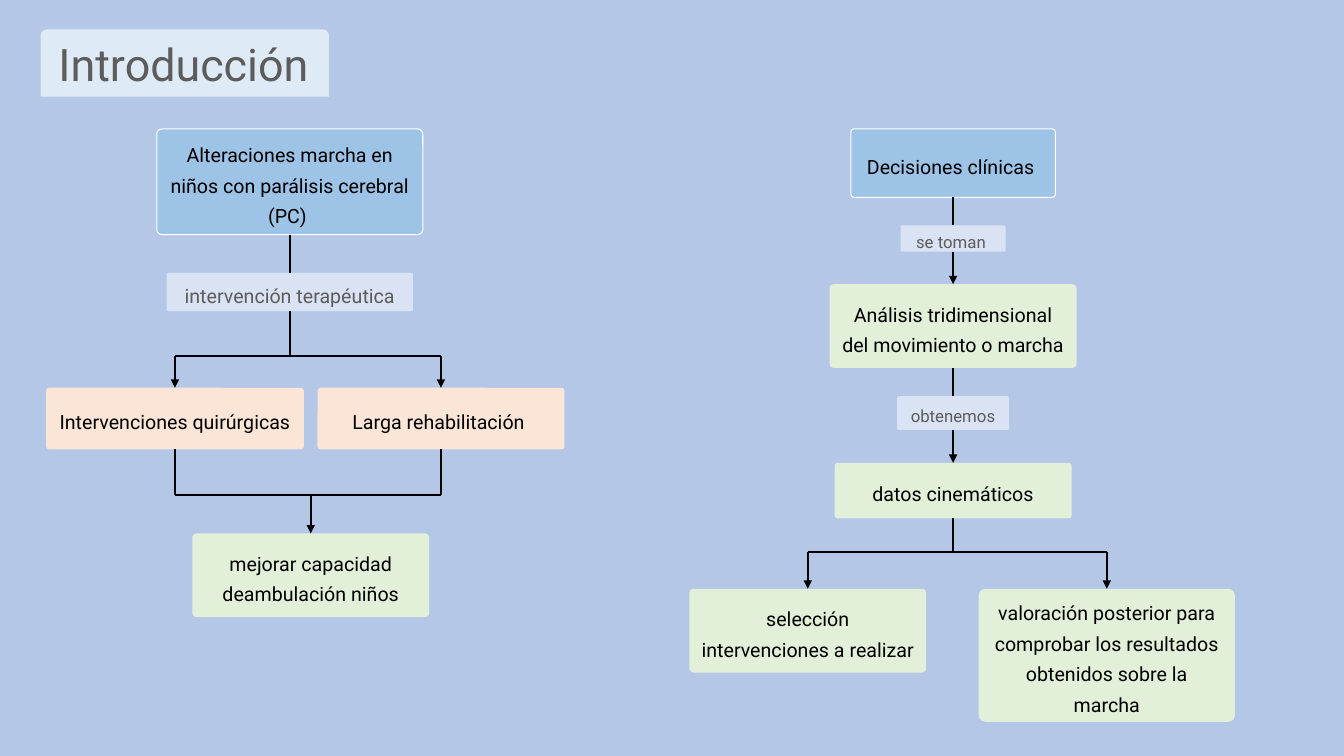
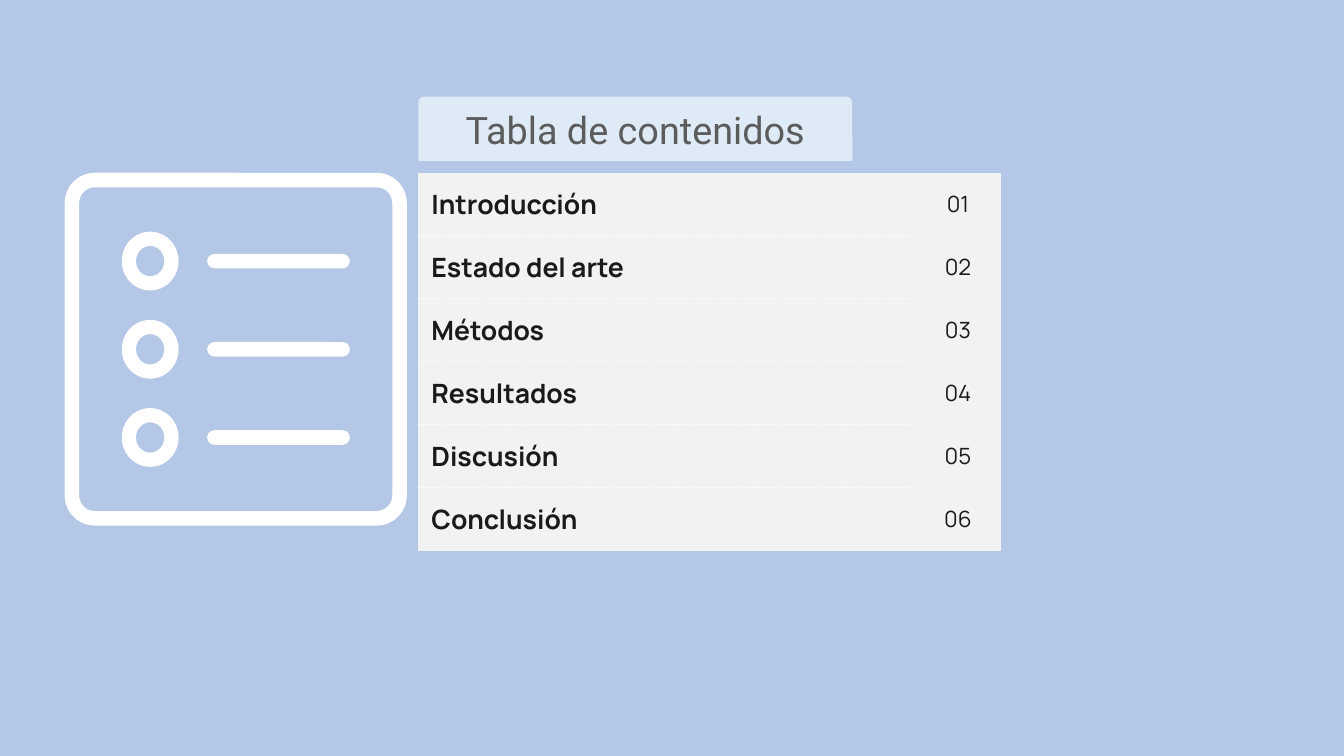
from lxml import etree
from pptx import Presentation
from pptx import util as u
from pptx.dml.color import RGBColor
from pptx.enum import shapes as kinds, text
from pptx.oxml.ns import qn

Pt = u.Pt
FORM = kinds.MSO_AUTO_SHAPE_TYPE
CENTER, LEFT = text.PP_ALIGN.CENTER, text.PP_ALIGN.LEFT
BACKGROUND, BAND, WHITE, BLACK, GREY = "B4C7E7", "DEEBF7", "FFFFFF", "000000", "5C5C5C"
TABLE_FILL, TABLE_TEXT = "F2F2F2", "1A1A1A"
NO_TABLE_STYLE = "{2D5ABB26-0587-4C30-8999-92F81FD0307C}"

# Box role: fill, outline, text colour, text size
ROLES = {
    "topic": ("9DC3E6", WHITE, BLACK, 14),
    "treatment": ("FBE5D6", None, BLACK, 14),
    "result": ("E2F0D9", None, BLACK, 14),
    "link": ("DAE3F3", None, GREY, 14),
    "small link": ("DAE3F3", None, GREY, 12),
}

# Box: text, role, centre x, top, width, height
BOXES = {
    "gait": ("Alteraciones marcha en niños con parálisis cerebral (PC) ", "topic", 207, 92, 190, 75.6),
    "therapy": ("intervención terapéutica", "link", 207, 195, 176, 27.2),
    "surgery": ("Intervenciones quirúrgicas", "treatment", 125, 277, 184, 44),
    "rehab": ("Larga rehabilitación ", "treatment", 315, 277, 176.4, 44),
    "walking": ("mejorar capacidad deambulación niños", "result", 222, 381, 169.2, 59.8),
    "decisions": ("Decisiones clínicas ", "topic", 680.8, 92, 146, 49),
    "taken": ("se toman ", "small link", 680.8, 161, 75, 18.8),
    "analysis": ("Análisis tridimensional del movimiento o marcha", "result", 680.8, 203, 176.4, 59.8),
    "obtain": ("obtenemos", "small link", 680.8, 283, 80, 24),
    "data": ("datos cinemáticos", "result", 680.8, 330.6, 169.2, 39.6),
    "selection": ("selección intervenciones a realizar", "result", 577, 420.6, 169.2, 59.8),
    "review": ("valoración posterior para comprobar los resultados obtenidos sobre la marcha",
               "result", 790.6, 420.6, 183, 95),
}

# Heights of the horizontal branches
SPLIT, MERGE, FORK = 254, 353.8, 394
BRANCHES = [("surgery", "rehab", SPLIT), ("surgery", "rehab", MERGE), ("selection", "review", FORK)]

# Vertical links: a box or a branch height at each end, and whether it has an arrowhead
LINKS = [
    ("gait", "therapy", False), ("therapy", SPLIT, False),
    (SPLIT, "surgery", True), (SPLIT, "rehab", True),
    ("surgery", MERGE, False), ("rehab", MERGE, False), (MERGE, "walking", True),
    ("decisions", "taken", False), ("taken", "analysis", True),
    ("analysis", "obtain", False), ("obtain", "data", True),
    ("data", FORK, False), (FORK, "selection", True), (FORK, "review", True),
]

CONTENTS = ["Introducción", "Estado del arte", "Métodos", "Resultados", "Discusión", "Conclusión"]


def rgb(color):
    return RGBColor.from_string(color)


def write(frame, words, size, color, font="Roboto", align=CENTER, bold=False, spacing=None):
    paragraph = frame.paragraphs[0]
    paragraph.alignment = align
    if spacing:
        paragraph.line_spacing = spacing
    run = paragraph.add_run()
    run.text = words
    run.font.name, run.font.size, run.font.bold = font, Pt(size), bold
    run.font.color.rgb = rgb(color)


def add_form(parent, form, box, fill=None, line=None, width=0.75, adjust=()):
    shape = parent.add_shape(form, *map(Pt, box))
    shape.shadow.inherit = False
    if fill:
        shape.fill.solid()
        shape.fill.fore_color.rgb = rgb(fill)
    else:
        shape.fill.background()
    if line:
        shape.line.color.rgb = rgb(line)
        shape.line.width = Pt(width)
    else:
        shape.line.fill.background()
    for i, value in enumerate(adjust):
        shape.adjustments[i] = value
    return shape


def add_title(slide, words, box, size, align):
    band = add_form(slide.shapes, FORM.ROUND_2_SAME_RECTANGLE, box, BAND, adjust=(0.09, 0))
    frame = band.text_frame
    frame.word_wrap = True
    frame.vertical_anchor = text.MSO_ANCHOR.MIDDLE
    if align == LEFT:
        frame.margin_left, frame.margin_right = Pt(11.5), 0
    write(frame, words, size, GREY, align=align)


def add_line(slide, x1, y1, x2, y2, arrow=False):
    line = slide.shapes.add_connector(kinds.MSO_CONNECTOR.STRAIGHT, *map(Pt, (x1, y1, x2, y2)))
    line.line.color.rgb = rgb(BLACK)
    line.line.width = Pt(1.5)
    if arrow:
        etree.SubElement(line.line._get_or_add_ln(), qn("a:tailEnd"), type="triangle")
    etree.SubElement(line._element.spPr, qn("a:effectLst"))
    return line


def add_dotted_border(cell, side):
    border = etree.SubElement(cell._tc.get_or_add_tcPr(), qn(side), w=str(Pt(1)))
    fill = etree.SubElement(border, qn("a:solidFill"))
    etree.SubElement(fill, qn("a:srgbClr"), val=WHITE)
    etree.SubElement(border, qn("a:prstDash"), val="sysDot")


def build_introduction(slide):
    add_title(slide, "Introducción", (29, 21, 206, 48), 32, LEFT)

    # Boxes
    placed = {}
    for key, (words, role, center, top, width, height) in BOXES.items():
        fill, outline, color, size = ROLES[role]
        box = add_form(slide.shapes, FORM.ROUNDED_RECTANGLE,
                       (center - width / 2, top, width, height), fill, outline, adjust=(0.05,))
        box.text_frame.word_wrap = True
        box.text_frame.vertical_anchor = text.MSO_ANCHOR.MIDDLE
        write(box.text_frame, words, size, color, spacing=1.3)
        placed[key] = box

    # Horizontal branches
    for left, right, y in BRANCHES:
        add_line(slide, BOXES[left][2], y, BOXES[right][2], y)

    # Vertical links
    for start, end, arrow in LINKS:
        x = BOXES[start if start in BOXES else end][2]
        y1 = BOXES[start][3] + BOXES[start][5] if start in BOXES else start
        y2 = BOXES[end][3] if end in BOXES else end
        link = add_line(slide, x, y1, x, y2, arrow)
        if start in BOXES:
            link.begin_connect(placed[start], 2)
        if end in BOXES:
            link.end_connect(placed[end], 0)


def build_contents(slide):
    # Table of sections
    row_height, widths = 45, (355, 61)
    holder = slide.shapes.add_table(len(CONTENTS), 2, Pt(298.8), Pt(123.4),
                                    Pt(sum(widths)), Pt(row_height * len(CONTENTS)))
    table = holder.table
    table.first_row = table.horz_banding = False
    table._tbl.tblPr.find(qn("a:tableStyleId")).text = NO_TABLE_STYLE
    for column, width in zip(table.columns, widths):
        column.width = Pt(width)
    for i, section in enumerate(CONTENTS):
        table.rows[i].height = Pt(row_height)
        name, number = table.cell(i, 0), table.cell(i, 1)
        if i > 0:
            add_dotted_border(name, "a:lnT")
        if i < len(CONTENTS) - 1:
            add_dotted_border(name, "a:lnB")
        for cell in (name, number):
            cell.fill.solid()
            cell.fill.fore_color.rgb = rgb(TABLE_FILL)
            cell.vertical_anchor = text.MSO_ANCHOR.MIDDLE
            cell.margin_left = cell.margin_right = cell.margin_top = cell.margin_bottom = Pt(9.4)
        write(name.text_frame, section, 19, TABLE_TEXT, "Manrope", LEFT, bold=True)
        write(number.text_frame, f"{i + 1:02d}", 16, TABLE_TEXT, "Manrope")

    # List icon: frame, then three rings with bars
    icon = slide.shapes.add_group_shape().shapes
    add_form(icon, FORM.ROUNDED_RECTANGLE, (51.4, 128.6, 234, 241.6),
             line=WHITE, width=10.4, adjust=(0.07,))
    for i in range(3):
        middle = 186.5 + 63 * i
        add_form(icon, FORM.DONUT, (87, middle - 21, 40.6, 42), WHITE, adjust=(0.25,))
        add_form(icon, FORM.ROUNDED_RECTANGLE, (148, middle - 5.2, 102, 10.4), WHITE, adjust=(0.5,))

    add_title(slide, "Tabla de contenidos", (298.8, 69, 310, 46), 27, CENTER)


def main():
    prs = Presentation()
    prs.slide_width, prs.slide_height = Pt(960), Pt(540)
    backdrop = prs.slide_master.background.fill
    backdrop.solid()
    backdrop.fore_color.rgb = rgb(BACKGROUND)
    for build in (build_introduction, build_contents):
        build(prs.slides.add_slide(prs.slide_layouts[6]))
    prs.save("out.pptx")


if __name__ == "__main__":
    main()
